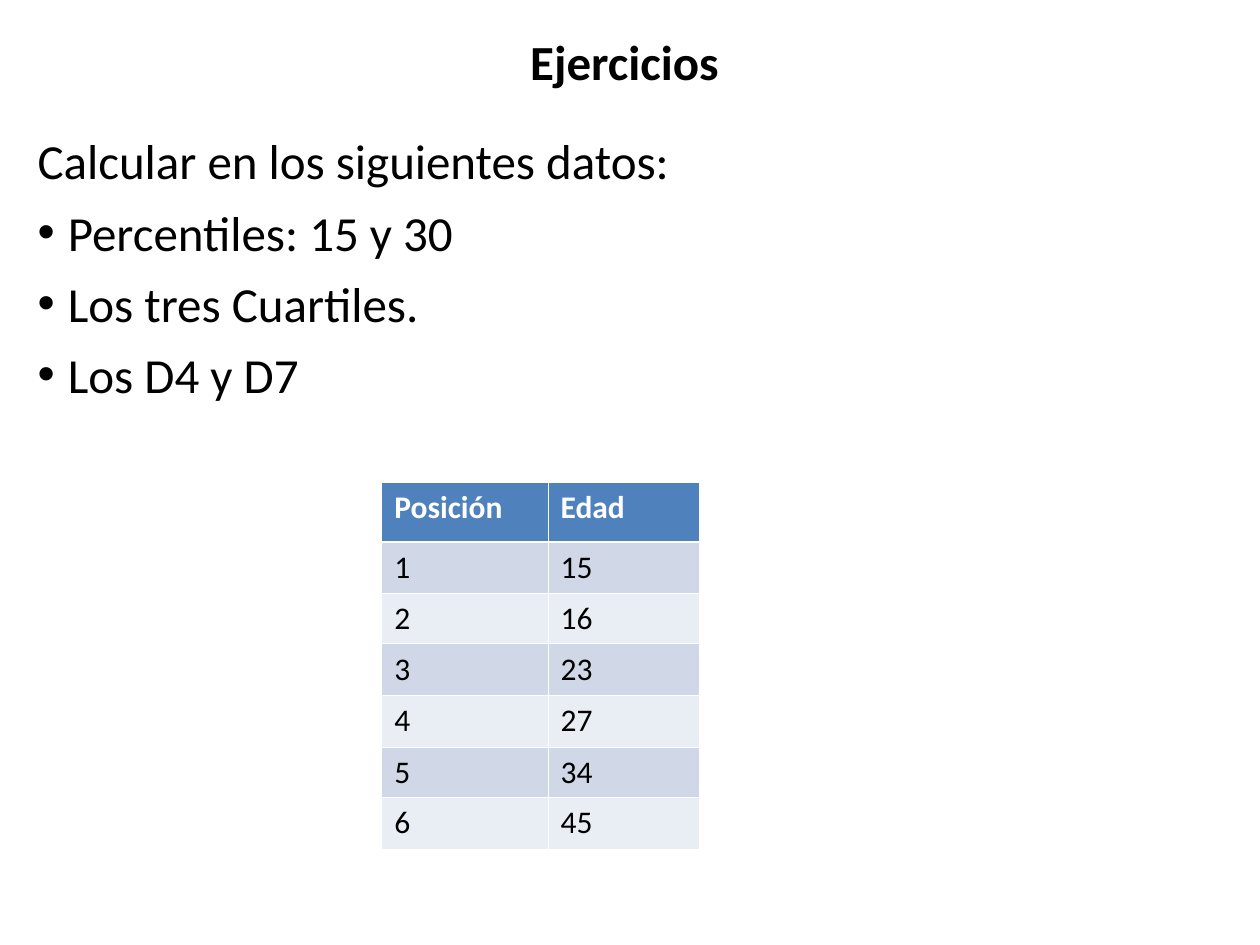
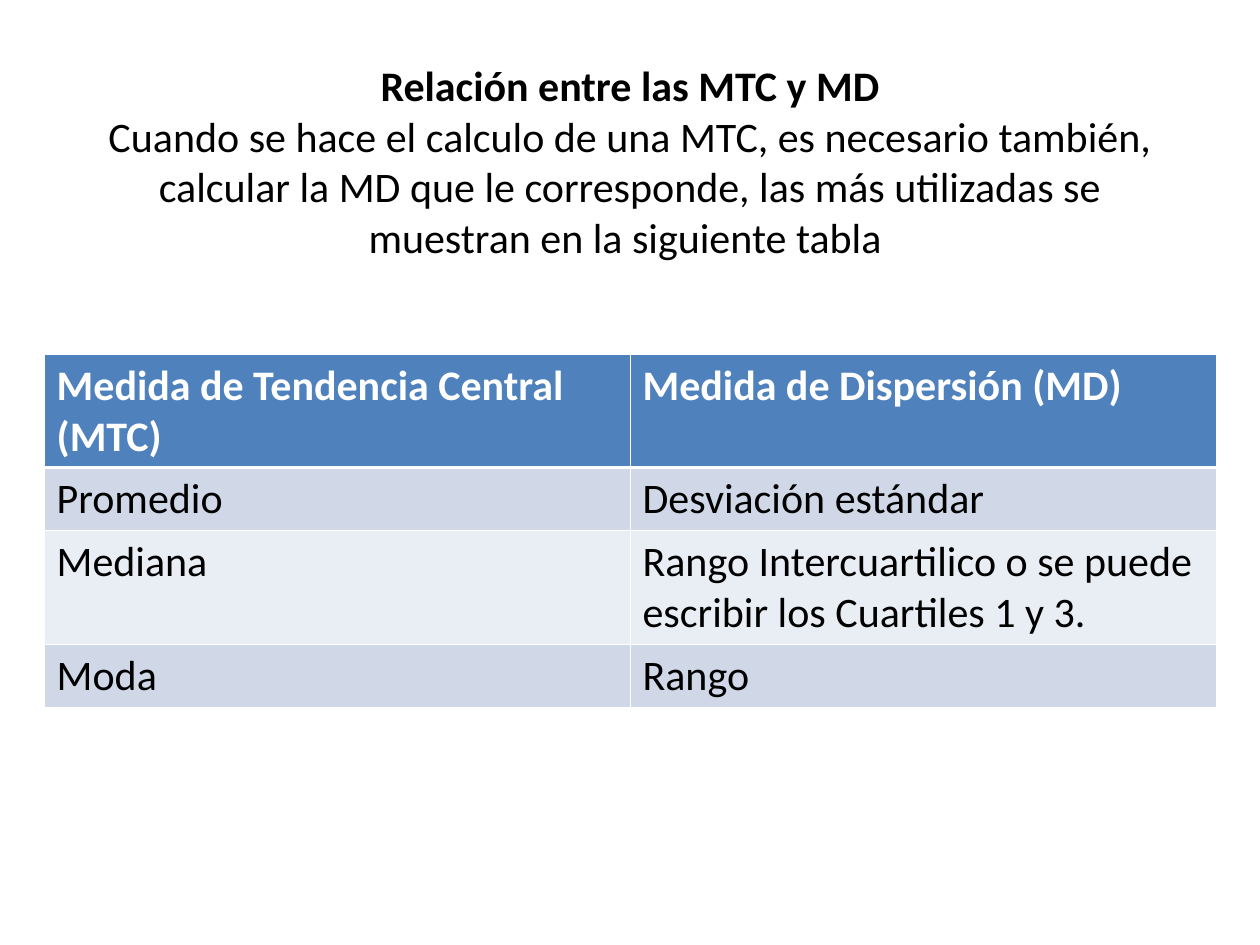
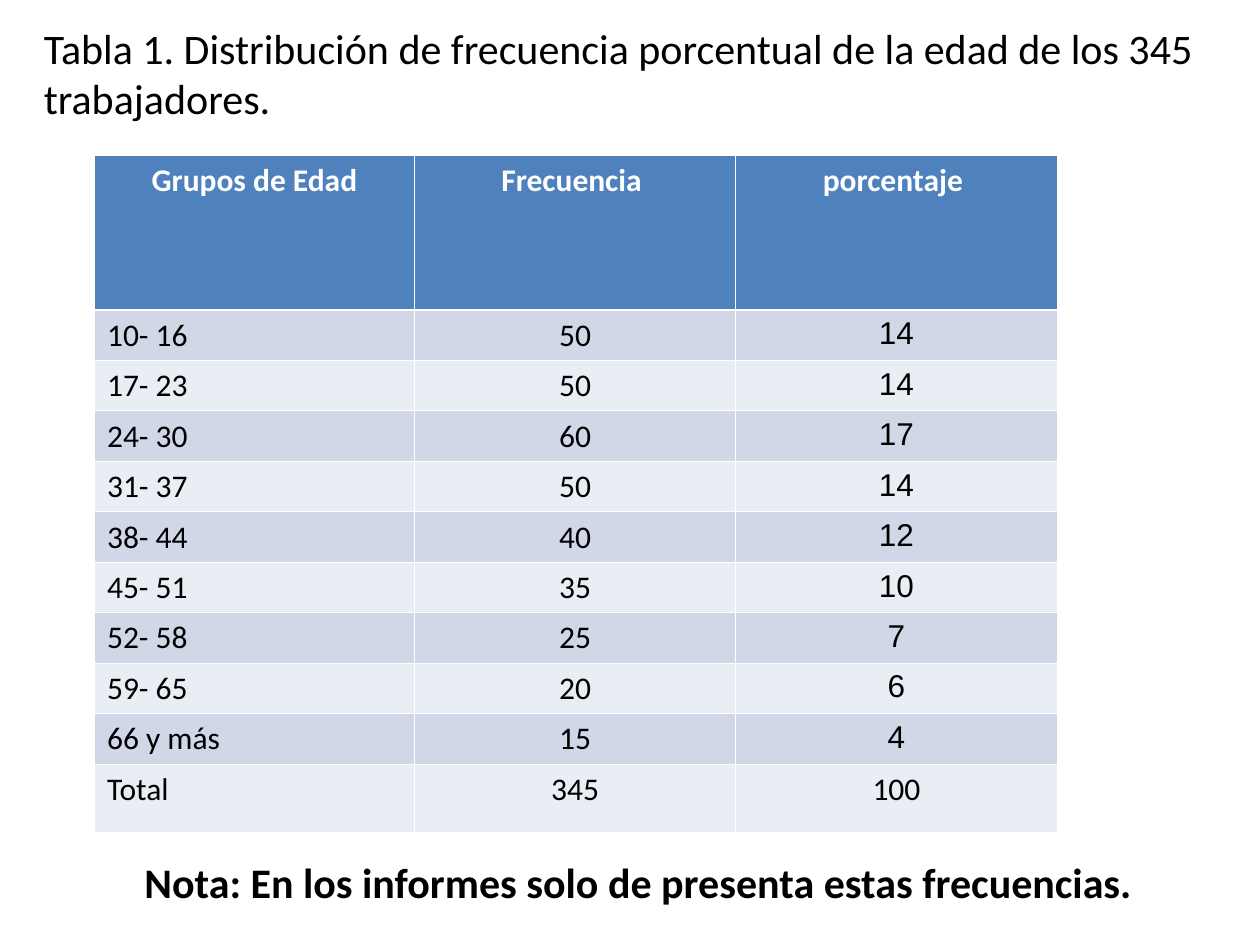
from dataclasses import dataclass

from lxml.etree import SubElement
from pptx import Presentation
from pptx.dml.color import RGBColor
from pptx.enum.text import MSO_ANCHOR, PP_ALIGN
from pptx.oxml.ns import qn
from pptx.slide import Slide
from pptx.table import _Cell
from pptx.text.text import _Paragraph
from pptx.util import Emu, Pt

# Shared scale, colours and fonts
EMU_PER_PX = 9144  # 100 px to the inch
BLACK = RGBColor(0x00, 0x00, 0x00)
WHITE = RGBColor(0xFF, 0xFF, 0xFF)
HEADER_BLUE = RGBColor(0x4F, 0x81, 0xBD)
BAND_DARK = RGBColor(0xD0, 0xD8, 0xE8)
BAND_LIGHT = RGBColor(0xE9, 0xED, 0xF4)
BODY_FONT = "Calibri"
NUMBER_FONT = "Arial"
THIN_BORDER = 0.45
HEADER_BORDER = 1.47
BULLET_INDENT = 24


def px(length: int) -> Emu:
    return Emu(length * EMU_PER_PX)


@dataclass(frozen=True)
class TextBlock:
    left: int
    top: int
    width: int
    height: int
    lines: tuple[str, ...]
    size: int
    bold: bool = False
    align: PP_ALIGN = PP_ALIGN.LEFT
    anchor: MSO_ANCHOR = MSO_ANCHOR.TOP
    space_before: int = 0
    bulleted_from: int | None = None


@dataclass(frozen=True)
class DataTable:
    left: int
    top: int
    columns: tuple[int, ...]
    heights: tuple[int, ...]
    rows: tuple[tuple[str, ...], ...]
    size: int
    centred: bool = False
    percent_column: int | None = None


# Text
def format_runs(para: _Paragraph, size: int, color: RGBColor, bold: bool, font: str = BODY_FONT) -> None:
    for span in para.runs:
        span.font.name = font
        span.font.size = Pt(size)
        span.font.bold = bold
        span.font.color.rgb = color


def add_bullet(para: _Paragraph) -> None:
    properties = para._p.get_or_add_pPr()
    properties.set("marL", str(px(BULLET_INDENT)))
    properties.set("indent", str(-px(BULLET_INDENT)))
    SubElement(properties, qn("a:buFont"), typeface=NUMBER_FONT)
    SubElement(properties, qn("a:buChar"), char="•")


def draw_text(page: Slide, block: TextBlock) -> _Paragraph:
    """Draws the block and returns its first paragraph."""
    box = page.shapes.add_textbox(px(block.left), px(block.top), px(block.width), px(block.height))
    frame = box.text_frame
    frame.word_wrap = True
    frame.vertical_anchor = block.anchor
    frame.text = "\n".join(block.lines)
    for index, para in enumerate(frame.paragraphs):
        if block.bulleted_from is not None and index >= block.bulleted_from:
            add_bullet(para)
        para.alignment = block.align
        if index:
            para.space_before = Pt(block.space_before)
        format_runs(para, block.size, BLACK, block.bold)
    return frame.paragraphs[0]


def draw_title(page: Slide, top: int, height: int, text: str, size: int) -> _Paragraph:
    return draw_text(page, TextBlock(50, top, 900, height, (text,), size, True,
                                     PP_ALIGN.CENTER, MSO_ANCHOR.MIDDLE))


# Tables
def set_borders(cell: _Cell, row_index: int) -> None:
    properties = cell._tc.get_or_add_tcPr()
    widths = {
        "L": THIN_BORDER,
        "R": THIN_BORDER,
        "T": HEADER_BORDER if row_index == 1 else THIN_BORDER,
        "B": HEADER_BORDER if row_index == 0 else THIN_BORDER,
    }
    for side, width in widths.items():
        line = SubElement(properties, qn(f"a:ln{side}"), w=str(Pt(width)))
        fill = SubElement(line, qn("a:solidFill"))
        SubElement(fill, qn("a:srgbClr"), val=str(WHITE))


def band_color(row_index: int) -> RGBColor:
    if row_index == 0:
        return HEADER_BLUE
    return BAND_DARK if row_index % 2 else BAND_LIGHT


def draw_table(page: Slide, data: DataTable) -> None:
    frame = page.shapes.add_table(len(data.rows), len(data.columns), px(data.left), px(data.top),
                                  px(sum(data.columns)), px(sum(data.heights)))
    table = frame.table
    for column, width in zip(table.columns, data.columns):
        column.width = px(width)
    for row, height in zip(table.rows, data.heights):
        row.height = px(height)

    last_row = len(data.rows) - 1
    for row_index, values in enumerate(data.rows):
        is_header = row_index == 0
        for column_index, value in enumerate(values):
            cell = table.cell(row_index, column_index)
            set_borders(cell, row_index)
            cell.fill.solid()
            cell.fill.fore_color.rgb = band_color(row_index)
            para = cell.text_frame.paragraphs[0]
            para.text = value
            if data.centred and (is_header or column_index > 0):
                para.alignment = PP_ALIGN.CENTER
            is_percent = column_index == data.percent_column and 0 < row_index < last_row
            if is_percent:
                cell.margin_left = cell.margin_right = px(1)
            format_runs(para, data.size, WHITE if is_header else BLACK, is_header,
                        NUMBER_FONT if is_percent else BODY_FONT)


# Slides
def build_exercises(page: Slide) -> None:
    draw_title(page, 14, 69, "Ejercicios ", 28)
    draw_text(page, TextBlock(
        20, 99, 969, 630,
        ("Calcular en los siguientes datos:", "Percentiles: 15 y 30",
         "Los tres Cuartiles.", "Los D4 y D7"),
        28, space_before=7, bulleted_from=1))
    ages = ("15", "16", "23", "27", "34", "45")
    positions = tuple((str(position), age) for position, age in enumerate(ages, 1))
    draw_table(page, DataTable(303, 383, (132, 120), (47, *(41, 40, 41) * 2),
                               (("Posición", "Edad"), *positions), 18))


def build_measures(page: Slide) -> None:
    title = draw_title(
        page, 30, 195,
        "Relación entre las MTC y MD\v"
        "Cuando se hace el calculo de una MTC, es necesario también, calcular la MD "
        "que le corresponde, las más utilizadas se muestran en la siguiente tabla ", 24)
    title.runs[1].font.bold = False
    draw_table(page, DataTable(35, 281, (465, 465), (90, 50, 90, 50), (
        ("Medida de Tendencia Central (MTC)", "Medida de Dispersión (MD)"),
        ("Promedio", "Desviación estándar"),
        ("Mediana", "Rango Intercuartilico o se puede escribir los Cuartiles 1 y 3."),
        ("Moda", "Rango"),
    ), 24))


def build_frequencies(page: Slide) -> None:
    draw_text(page, TextBlock(
        25, 13, 963, 92,
        ("Tabla 1. Distribución de frecuencia porcentual de la edad de los 345 trabajadores.",), 24))
    draw_table(page, DataTable(75, 123, (254, 255, 255), (123, *(40,) * 9, 54), (
        ("Grupos de Edad", "Frecuencia ", "porcentaje "),
        ("10- 16", "50", "14"),
        ("17- 23", "50", "14"),
        ("24- 30", "60", "17"),
        ("31- 37", "50", "14"),
        ("38- 44", "40", "12"),
        ("45- 51", "35", "10"),
        ("52- 58", "25", "7"),
        ("59- 65", "20", "6"),
        ("66 y más", "15", "4"),
        ("Total", "345", "100"),
    ), 18, centred=True, percent_column=2))
    draw_text(page, TextBlock(
        25, 675, 963, 51,
        ("Nota: En los informes solo de presenta estas frecuencias.",),
        24, bold=True, align=PP_ALIGN.CENTER))


def main() -> None:
    deck = Presentation()
    deck.slide_width, deck.slide_height = px(1000), px(750)
    blank_layout = deck.slide_layouts[6]
    for build in (build_exercises, build_measures, build_frequencies):
        build(deck.slides.add_slide(blank_layout))
    deck.save("out.pptx")


if __name__ == "__main__":
    main()
